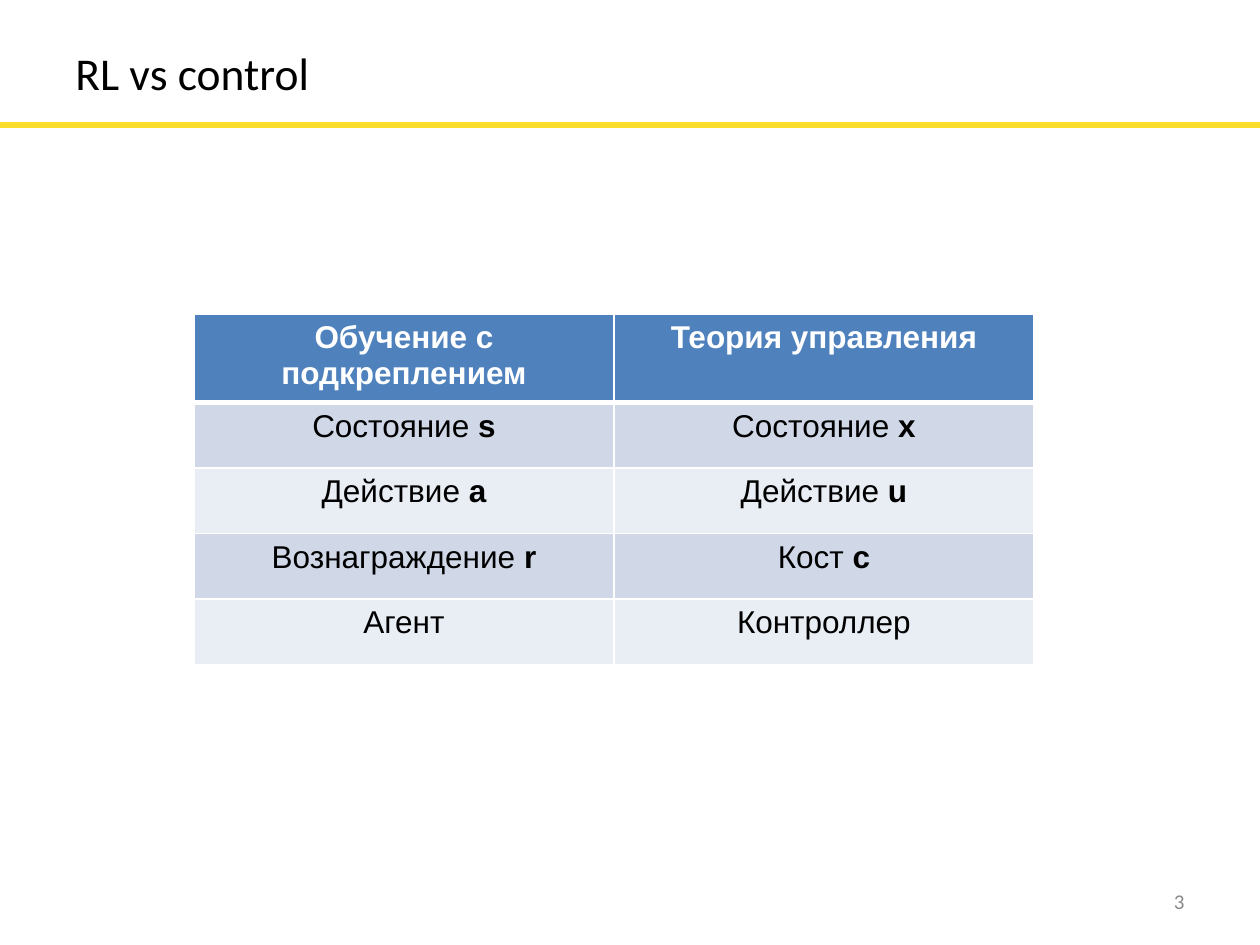
from lxml.etree import SubElement
from pptx import Presentation
from pptx.dml.color import RGBColor
from pptx.enum.shapes import MSO_CONNECTOR
from pptx.enum.text import MSO_ANCHOR, PP_ALIGN
from pptx.oxml.ns import qn
from pptx.util import Emu, Pt

EMU_PER_PX = 914400 / 126


def px(length):
    return Emu(round(length * EMU_PER_PX))


def color(hex_value):
    return RGBColor.from_string(hex_value)


class SlideBuilder:
    heading_font = "Calibri"
    body_font = "Arial"
    black, white, gray = "000000", "FFFFFF", "898989"
    accent = "FFDD2E"
    header_fill = "4F81BD"
    band_fills = ("D0D8E8", "E9EDF4")

    def __init__(self, slide):
        self.slide = slide

    def add_run(self, paragraph, text, font, size, hex_value, bold=False):
        run = paragraph.add_run()
        run.text = text
        run.font.name = font
        run.font.size = Pt(size)
        run.font.bold = bold
        run.font.color.rgb = color(hex_value)

    def rule(self, x1, y1, x2, y2, width):
        line = self.slide.shapes.add_connector(
            MSO_CONNECTOR.STRAIGHT, px(x1), px(y1), px(x2), px(y2))
        line.line.color.rgb = color(self.accent)
        line.line.width = Pt(width)
        SubElement(line._element.spPr, qn("a:effectLst"))

    def text(self, content, left, top, width, height, size, hex_value,
             align=PP_ALIGN.LEFT):
        box = self.slide.shapes.add_textbox(
            px(left), px(top), px(width), px(height))
        frame = box.text_frame
        frame.word_wrap = True
        frame.vertical_anchor = MSO_ANCHOR.MIDDLE
        paragraph = frame.paragraphs[0]
        paragraph.alignment = align
        self.add_run(paragraph, content, self.heading_font, size, hex_value)

    def border(self, cell, side, width):
        edge = SubElement(cell._tc.get_or_add_tcPr(), qn(f"a:ln{side}"),
                          w=str(Pt(width)))
        fill = SubElement(edge, qn("a:solidFill"))
        SubElement(fill, qn("a:srgbClr"), val=self.white)

    def table(self, rows, left, top, width, height):
        table = self.slide.shapes.add_table(
            len(rows), len(rows[0]), px(left), px(top), px(width),
            px(height)).table
        for row_index, row in enumerate(rows):
            is_header = row_index == 0
            fill = self.header_fill if is_header else self.band_fills[(row_index - 1) % 2]
            text_color = self.white if is_header else self.black
            # A thick line separates the header from the body
            thick_side = {0: "B", 1: "T"}.get(row_index)
            for column_index, (term, symbol) in enumerate(row):
                cell = table.cell(row_index, column_index)
                for side in "LRTB":
                    self.border(cell, side, 3 if side == thick_side else 1)
                cell.fill.solid()
                cell.fill.fore_color.rgb = color(fill)
                paragraph = cell.text_frame.paragraphs[0]
                paragraph.alignment = PP_ALIGN.CENTER
                self.add_run(paragraph, term, self.body_font, 18, text_color,
                             bold=is_header)
                if symbol:
                    self.add_run(paragraph, symbol, self.body_font, 18,
                                 text_color, bold=True)


def main():
    presentation = Presentation()
    presentation.slide_width, presentation.slide_height = px(1260), px(945)
    builder = SlideBuilder(
        presentation.slides.add_slide(presentation.slide_layouts[6]))

    # Title with the rule below it, and the page number
    builder.rule(0, 125, 1260, 125, 3)
    builder.text("3", 903, 876, 294, 50, 12, builder.gray, PP_ALIGN.RIGHT)
    builder.text("RL vs control", 63, 43, 1134, 58, 26, builder.black)

    # Matching terms: (term, symbol) in each cell
    term_pairs = [
        [("Обучение с подкреплением", ""), ("Теория управления", "")],
        [("Состояние ", "s"), ("Состояние ", "x")],
        [("Действие ", "a"), ("Действие ", "u")],
        [("Вознаграждение ", "r"), ("Кост ", "c")],
        [("Агент", ""), ("Контроллер", "")],
    ]
    builder.table(term_pairs, 194, 314, 840, 328)

    presentation.save("out.pptx")


if __name__ == "__main__":
    main()
